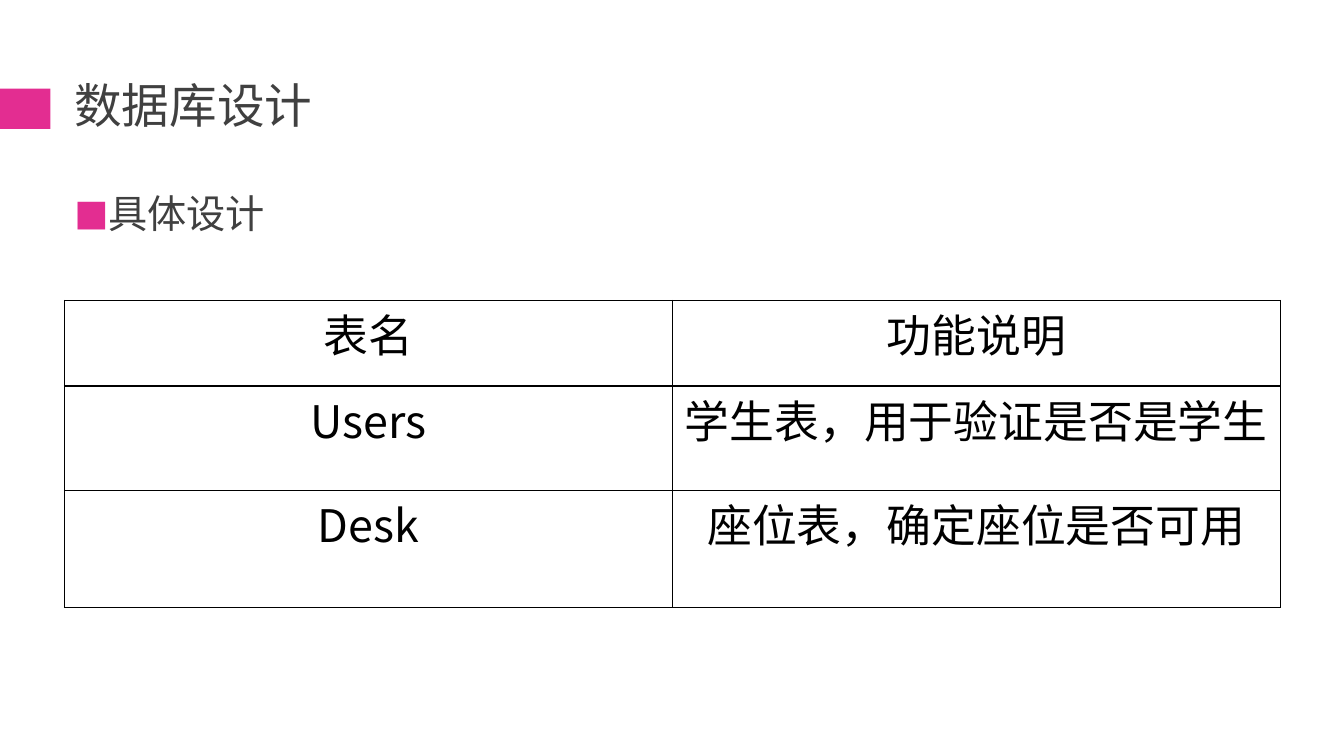
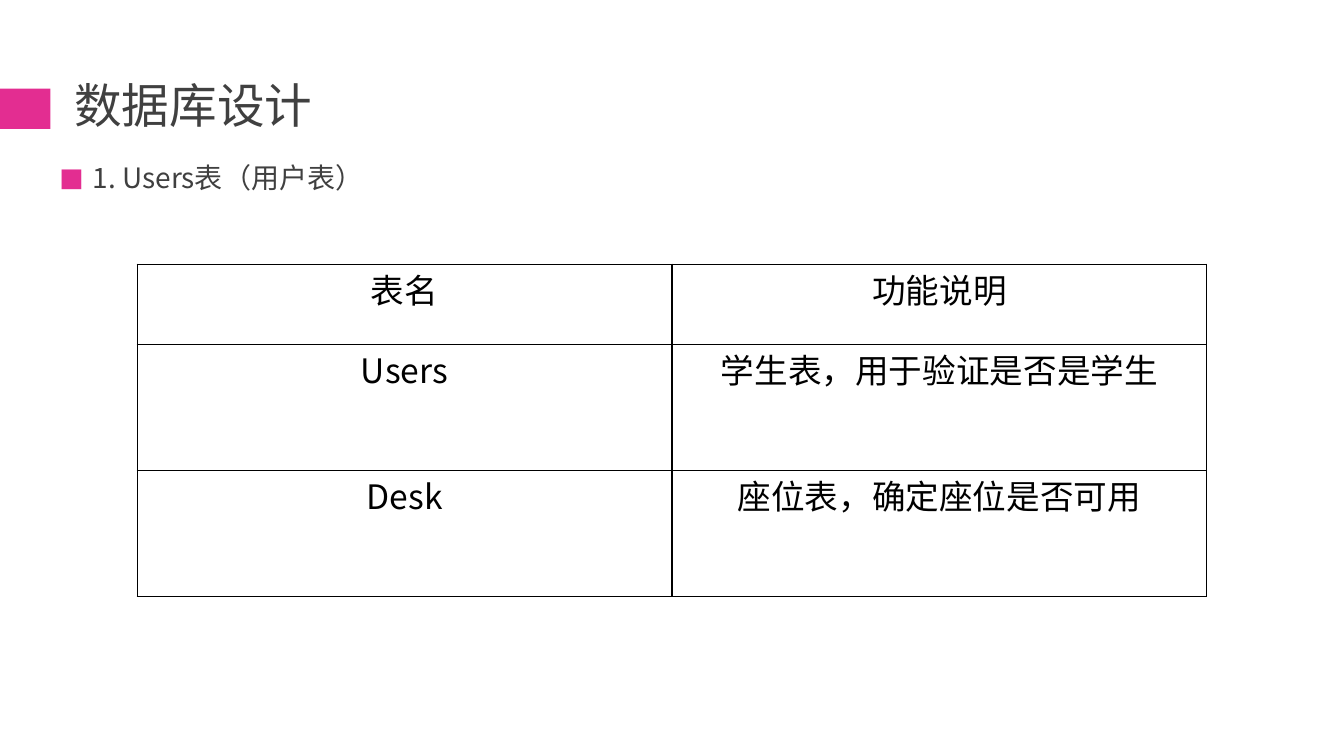
from pptx import Presentation
from pptx.dml.color import RGBColor
from pptx.enum.shapes import MSO_SHAPE as Shape
from pptx.enum.text import MSO_ANCHOR as Anchor, PP_ALIGN as Align
from pptx.oxml.ns import qn
from pptx.util import Pt
from lxml.etree import SubElement

PX = 9144
PINK, GREY, BLACK = "E32D91", "404040", "000000"
CJK, LATIN = "Noto Sans CJK SC", "Calibri"
TITLE = "数据库设计"
ROWS = [
    ("表名", "功能说明"),
    ("Users", "学生表，用于验证是否是学生"),
    ("Desk", "座位表，确定座位是否可用"),
]


def px(*lengths):
    """Turn pixel lengths into EMU."""
    return [length * PX for length in lengths]


def color(value):
    """Return the colour for a hex string."""
    return RGBColor.from_string(value)


def add_span(para, text, size, tint, font=CJK):
    """Add one formatted run to a paragraph."""
    span = para.add_run()
    span.text = text
    span.font.size = Pt(size)
    span.font.name = font
    span.font.color.rgb = color(tint)
    SubElement(span.font._element, qn("a:ea"), typeface=CJK)


def add_text(page, place, text, size):
    """Add a one-paragraph text box and return its paragraph."""
    frame = page.shapes.add_textbox(*px(*place)).text_frame
    frame.word_wrap = True
    para = frame.paragraphs[0]
    para.line_spacing = 0.9
    add_span(para, text, size, GREY)
    return para


def add_bullet(para):
    """Give a paragraph a hanging pink square."""
    props = para._p.get_or_add_pPr()
    indent = 33 * PX
    props.set("marL", str(indent))
    props.set("indent", str(-indent))
    SubElement(SubElement(props, qn("a:buClr")), qn("a:srgbClr"), val=PINK)
    SubElement(props, qn("a:buSzPct"), val="92000")
    SubElement(props, qn("a:buFont"), typeface=LATIN)
    SubElement(props, qn("a:buChar"), char="■")


def add_borders(cell):
    """Draw a thin black line on each side of a cell."""
    props = cell._tc.get_or_add_tcPr()
    for index, side in enumerate(("lnL", "lnR", "lnT", "lnB")):
        line = props.makeelement(qn(f"a:{side}"), {"w": str(Pt(1))})
        fill = SubElement(line, qn("a:solidFill"))
        SubElement(fill, qn("a:srgbClr"), val=BLACK)
        props.insert(index, line)


def fill_cell(cell, text, size):
    """Write centred text in a bordered, unfilled cell."""
    cell.fill.background()
    cell.vertical_anchor = Anchor.TOP
    cell.margin_left, cell.margin_right = px(7, 7)
    cell.margin_top = cell.margin_bottom = 0
    para = cell.text_frame.paragraphs[0]
    para.alignment = Align.CENTER
    add_span(para, text, size, BLACK, CJK if text.isascii() else LATIN)
    add_borders(cell)


def add_grid(page, left, top, width, heights, size):
    """Add the table of names and purposes with equal columns."""
    place = px(left, top, width, sum(heights))
    table = page.shapes.add_table(len(ROWS), len(ROWS[0]), *place).table
    table.first_row = table.horz_banding = False
    for column in table.columns:
        column.width = width * PX // len(ROWS[0])
    for row, height, texts in zip(table.rows, heights, ROWS):
        row.height = height * PX
        for cell, text in zip(row.cells, texts):
            fill_cell(cell, text, size)


def add_page(deck, place, heading, size):
    """Add a page with the shared band and title, and a bulleted heading."""
    page = deck.slides.add_slide(deck.slide_layouts[6])
    band = page.shapes.add_shape(Shape.RECTANGLE, *px(0, 88, 50, 40))
    band.shadow.inherit = False
    band.fill.solid()
    band.fill.fore_color.rgb = color(PINK)
    band.line.fill.background()
    add_bullet(add_text(page, place, heading, size))
    add_text(page, (64, 77, 1206, 81), TITLE, 34)
    return page


def main():
    """Build and save the deck."""
    deck = Presentation()
    deck.slide_width, deck.slide_height = px(1333, 750)
    page = add_page(deck, (64, 188, 422, 81), "具体设计", 28)
    add_grid(page, 64, 298, 1206, (85, 104, 116), 32)
    page = add_page(deck, (49, 158, 562, 81), "1. Users表（用户表）", 20)
    add_grid(page, 136, 262, 1061, (80, 125, 125), 24)
    deck.save("out.pptx")


if __name__ == "__main__":
    main()
